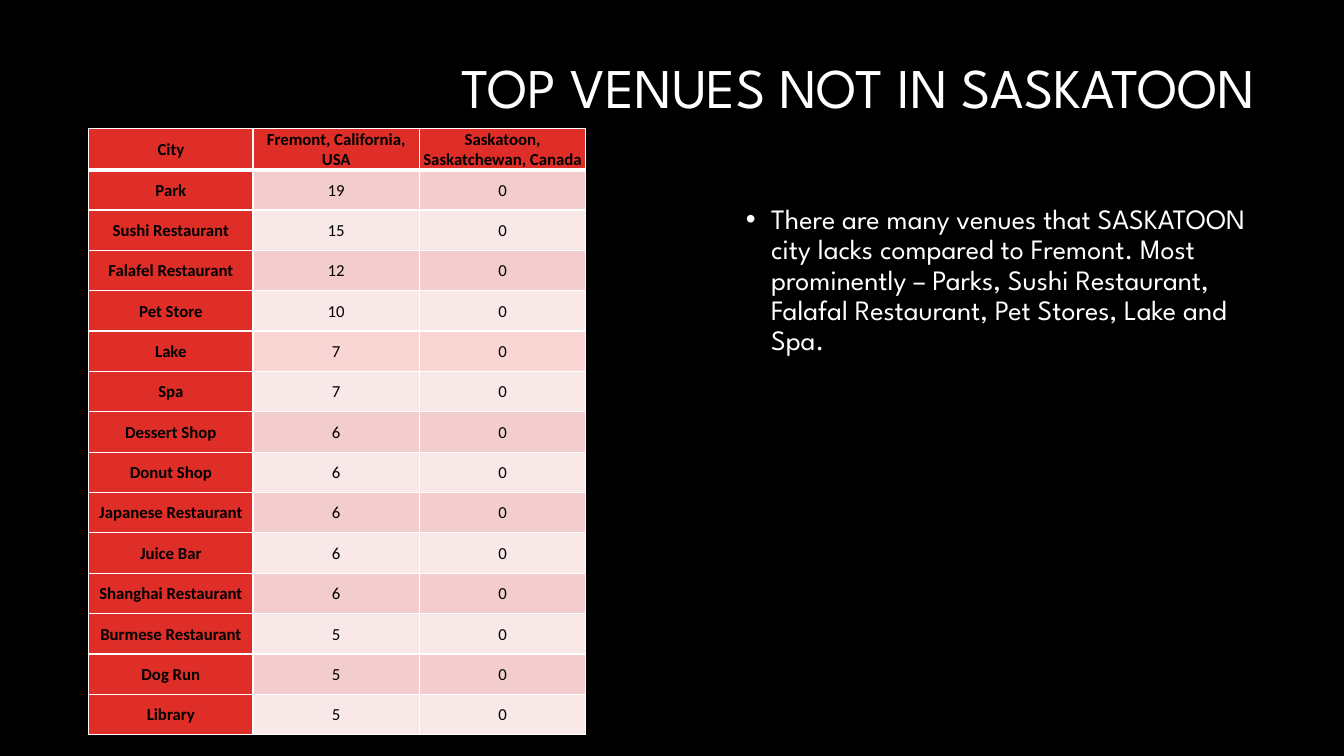
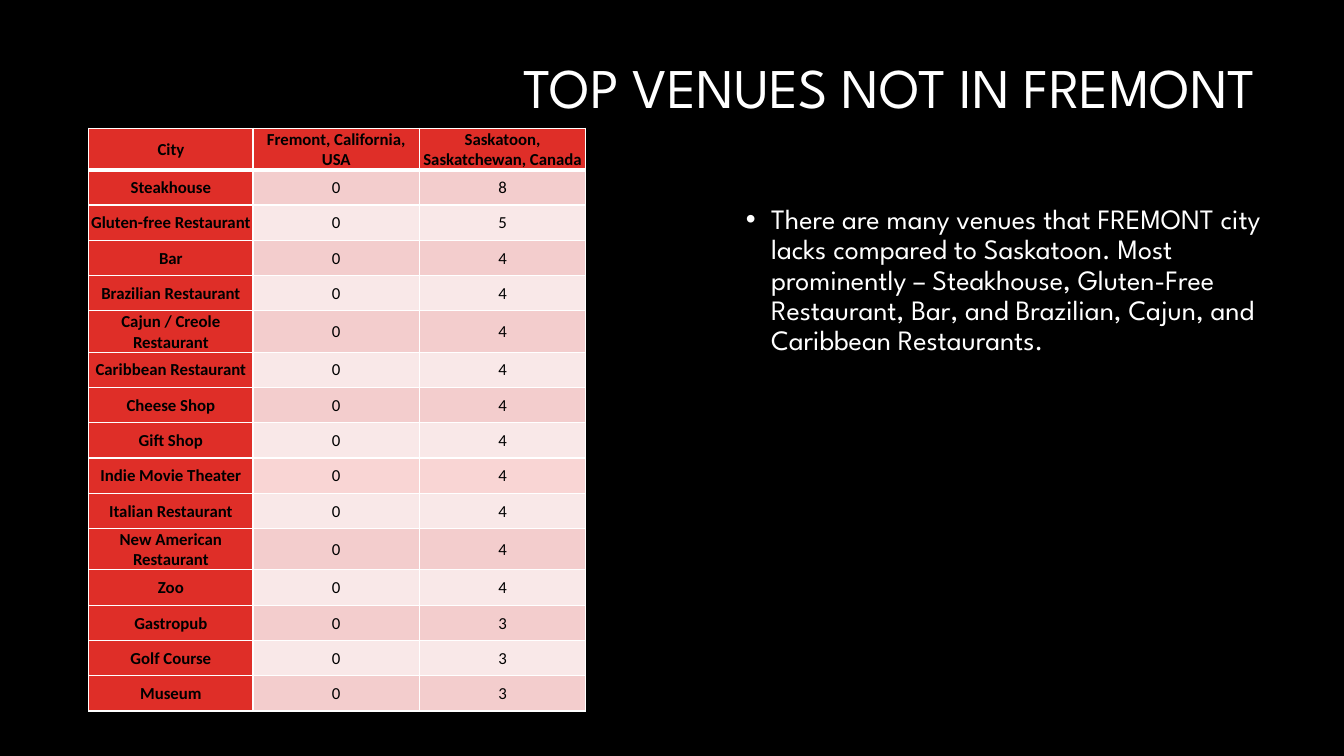
import lxml.etree
import pptx
import pptx.dml.color
import pptx.enum.text
import pptx.oxml.ns
import pptx.util

ALIGN = pptx.enum.text.PP_ALIGN
MIDDLE = pptx.enum.text.MSO_ANCHOR.MIDDLE
SANS, PLAIN = "League Spartan", "Calibri"
WHITE, BLACK, RED = "FFFFFF", "000000", "DF2E28"
BANDS, MARK = ("F3CDCD", "F9E8E8"), "F9D5D4"
HEAD = ("City", "Fremont, California, USA", "Saskatoon, Saskatchewan, Canada")

# Each slide: title, body, row height, marked row, venues as (name, Fremont, Saskatoon)
PAGES = [
    ("TOP VENUES NOT IN SASKATOON",
     "There are many venues that SASKATOON city lacks compared to Fremont. "
     "Most prominently – Parks, Sushi Restaurant, Falafal Restaurant, "
     "Pet Stores, Lake and Spa.",
     5.34, "Lake",
     [("Park", 19, 0), ("Sushi Restaurant", 15, 0), ("Falafel Restaurant", 12, 0),
      ("Pet Store", 10, 0), ("Lake", 7, 0), ("Spa", 7, 0), ("Dessert Shop", 6, 0),
      ("Donut Shop", 6, 0), ("Japanese Restaurant", 6, 0), ("Juice Bar", 6, 0),
      ("Shanghai Restaurant", 6, 0), ("Burmese Restaurant", 5, 0),
      ("Dog Run", 5, 0), ("Library", 5, 0)]),
    ("TOP VENUES NOT IN FREMONT",
     "There are many venues that FREMONT city lacks compared to Saskatoon. "
     "Most prominently – Steakhouse, Gluten-Free Restaurant, Bar, and "
     "Brazilian, Cajun, and Caribbean Restaurants.",
     4.67, "Indie Movie Theater",
     [("Steakhouse", 0, 8), ("Gluten-free Restaurant", 0, 5), ("Bar", 0, 4),
      ("Brazilian Restaurant", 0, 4), ("Cajun / Creole Restaurant", 0, 4),
      ("Caribbean Restaurant", 0, 4), ("Cheese Shop", 0, 4), ("Gift Shop", 0, 4),
      ("Indie Movie Theater", 0, 4), ("Italian Restaurant", 0, 4),
      ("New American Restaurant", 0, 4), ("Zoo", 0, 4), ("Gastropub", 0, 3),
      ("Golf Course", 0, 3), ("Museum", 0, 3)]),
]


def paint(fill, shade):
    fill.solid()
    fill.fore_color.rgb = pptx.dml.color.RGBColor.from_string(shade)


def write(frame, text, size, font, shade, bold=False, align=ALIGN.LEFT,
          lead=None, before=0, bullet=False):
    """Fill a text frame with one formatted paragraph."""
    frame.word_wrap = True
    para = frame.paragraphs[0]
    para.alignment, para.line_spacing = align, lead
    para.space_before = pptx.util.Pt(before)
    run = para.add_run()
    run.text = text
    run.font.size, run.font.name, run.font.bold = pptx.util.Pt(size), font, bold
    paint(run.font.fill, shade)
    if bullet:
        props = para._p.get_or_add_pPr()
        dent = pptx.util.Inches(0.25)
        props.set("marL", str(dent))
        props.set("indent", str(-dent))
        lxml.etree.SubElement(props, pptx.oxml.ns.qn("a:buFont"), typeface="Arial")
        lxml.etree.SubElement(props, pptx.oxml.ns.qn("a:buChar"), char="•")


deck = pptx.Presentation()
deck.slide_width = pptx.util.Inches(13.33)
deck.slide_height = pptx.util.Inches(7.5)
# One grid unit is a hundredth of the slide's width or height
COL, ROW = deck.slide_width / 100, deck.slide_height / 100
WIDTHS = [round(n * COL) for n in (12.23, 12.38, 12.38)]

for title, body, step, mark, venues in PAGES:
    slide = deck.slides.add_slide(deck.slide_layouts[6])
    paint(slide.background.fill, BLACK)

    box = slide.shapes.add_textbox(
        round(23.48 * COL), round(2.53 * ROW), round(70.67 * COL), round(18.8 * ROW))
    box.text_frame.vertical_anchor = MIDDLE
    write(box.text_frame, title, 40, SANS, WHITE, align=ALIGN.RIGHT, lead=0.9)

    box = slide.shapes.add_textbox(
        round(54.76 * COL), round(26.53 * ROW), round(40.5 * COL), round(58.67 * ROW))
    write(box.text_frame, body, 20, SANS, WHITE, lead=0.9, before=10, bullet=True)

    lines = [HEAD] + venues
    high = round(step * ROW)
    table = slide.shapes.add_table(
        len(lines), len(HEAD), round(6.6 * COL), round(16.97 * ROW),
        sum(WIDTHS), high * len(lines)).table
    table.horz_banding = False
    for col, width in zip(table.columns, WIDTHS):
        col.width = width

    for r, line in enumerate(lines):
        table.rows[r].height = high if r else round(5.34 * ROW)
        band = MARK if line[0] == mark else BANDS[(r - 1) % 2]
        for c, value in enumerate(line):
            cell = table.cell(r, c)
            label = r == 0 or c == 0
            cell.vertical_anchor = MIDDLE
            cell.margin_left = cell.margin_right = cell.margin_top = pptx.util.Inches(0.01)
            cell.margin_bottom = 0
            for side in "LRTB":
                thick = 3 if (r, side) in ((0, "B"), (1, "T")) else 1
                edge = lxml.etree.SubElement(
                    cell._tc.get_or_add_tcPr(), pptx.oxml.ns.qn("a:ln" + side),
                    w=str(pptx.util.Pt(thick)))
                ink = lxml.etree.SubElement(edge, pptx.oxml.ns.qn("a:solidFill"))
                lxml.etree.SubElement(ink, pptx.oxml.ns.qn("a:srgbClr"), val=WHITE)
            paint(cell.fill, RED if label else band)
            write(cell.text_frame, str(value), 12, PLAIN, BLACK,
                  bold=label, align=ALIGN.CENTER)

deck.save("out.pptx")
